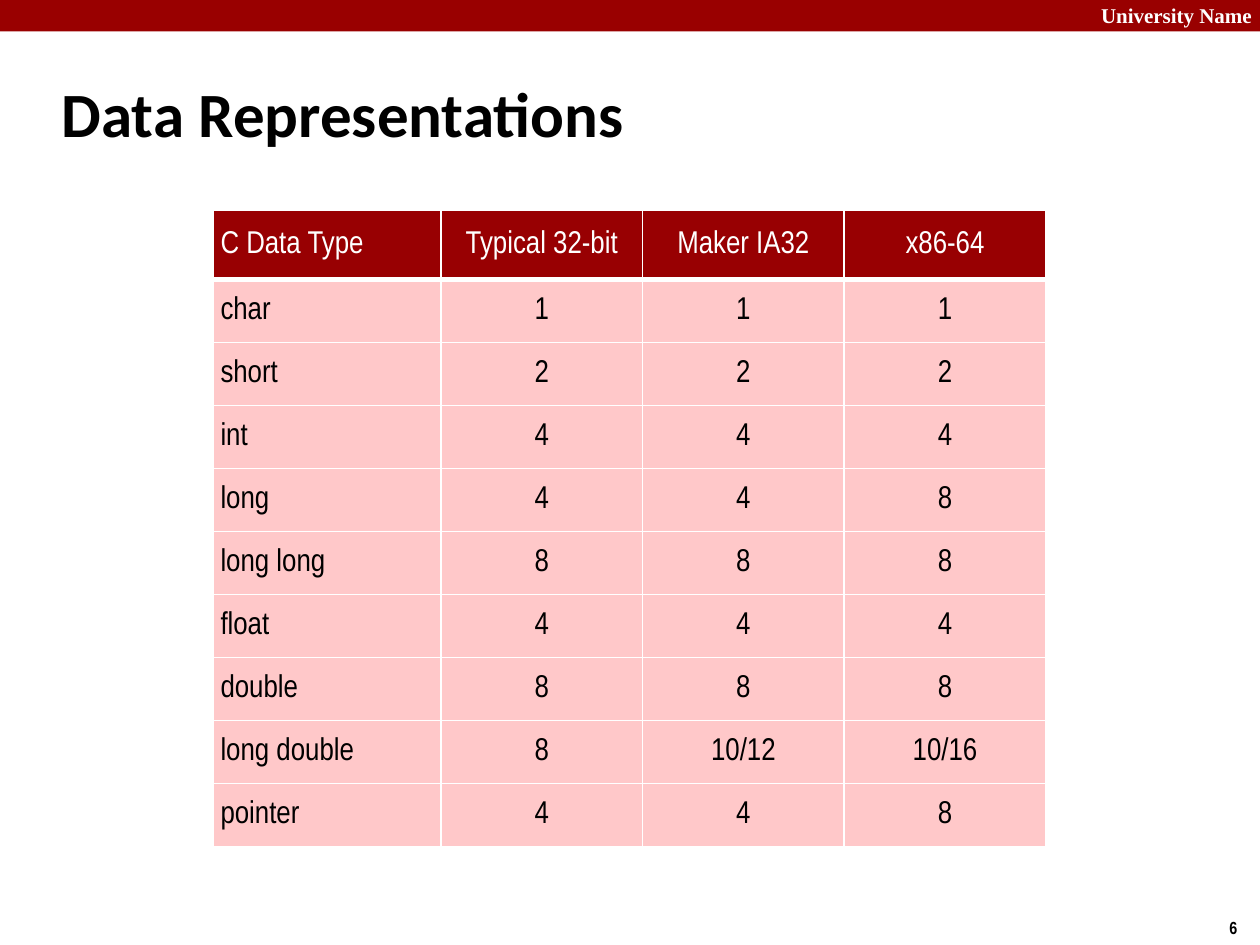
from pptx import Presentation
from pptx.util import Inches, Pt
from pptx.dml.color import RGBColor
from pptx.enum.shapes import MSO_SHAPE
from pptx.enum.text import MSO_ANCHOR, PP_ALIGN
from pptx.oxml import parse_xml
from pptx.oxml.ns import nsdecls

TITLE = "Data Representations"
HEAD = ("C Data Type", "Typical 32-bit", "Maker IA32", "x86-64")
SIZES = [
    ("char", "1", "1", "1"),
    ("short", "2", "2", "2"),
    ("int", "4", "4", "4"),
    ("long", "4", "4", "8"),
    ("long long", "8", "8", "8"),
    ("float", "4", "4", "4"),
    ("double", "8", "8", "8"),
    ("long double", "8", "10/12", "10/16"),
    ("pointer", "4", "4", "8"),
]
LABELS = [
    ("University Name", (8.64, -0.03, 1.43, 0.3), 12, "Times New Roman", "FFFFFF"),
    ("6", (9.66, 7.23, 0.34, 0.27), 10, "Arial Narrow", "000000"),
]
WIDTHS = [1.81] + [1.6] * 3
HEIGHTS = [0.55] + [0.5] * len(SIZES)


def color(code):
    return RGBColor.from_string(code)


def style(frame, size, face, code, bold, align=PP_ALIGN.LEFT):
    for para in frame.paragraphs:
        para.alignment = align
        for run in para.runs:
            font = run.font
            font.size, font.name, font.bold = Pt(size), face, bold
            font.color.rgb = color(code)


def paint(item, code):
    item.fill.solid()
    item.fill.fore_color.rgb = color(code)


def edge(cell, side, width):
    props = cell._tc.get_or_add_tcPr()
    line = parse_xml(
        f'<a:{side} {nsdecls("a")} w="{Pt(width)}"><a:solidFill>'
        f'<a:srgbClr val="FFFFFF"/></a:solidFill></a:{side}>')
    props.append(line)


deck = Presentation()
deck.slide_width, deck.slide_height = Inches(10), Inches(7.5)
slide = deck.slides.add_slide(deck.slide_layouts[5])
shapes = slide.shapes

band = shapes.add_shape(MSO_SHAPE.RECTANGLE, 0, 0, Inches(10), Inches(0.25))
band.shadow.inherit = False
paint(band, "990000")
band.line.fill.background()

for text, place, size, face, code in LABELS:
    box = shapes.add_textbox(*map(Inches, place))
    box.text_frame.text = text
    box.text_frame.word_wrap = False
    style(box.text_frame, size, face, code, True)

title = shapes.title
title.left, title.top, title.width, title.height = map(Inches, (0.39, 0.48, 8.3, 0.83))
title.text_frame.text = TITLE
title.text_frame.vertical_anchor = MSO_ANCHOR.MIDDLE
style(title.text_frame, 36, "Calibri", "000000", True)

rows = [HEAD] + SIZES
grid = shapes.add_table(len(rows), len(HEAD), Inches(1.69), Inches(1.67),
                        Inches(sum(WIDTHS)), Inches(sum(HEIGHTS))).table
for col, width in zip(grid.columns, WIDTHS):
    col.width = Inches(width)
for row, height in zip(grid.rows, HEIGHTS):
    row.height = Inches(height)

for r, row in enumerate(rows):
    for c, text in enumerate(row):
        cell = grid.cell(r, c)
        cell.text_frame.text = text
        cell.vertical_anchor = MSO_ANCHOR.MIDDLE
        cell.margin_left = cell.margin_right = Inches(0.06)
        cell.margin_top = cell.margin_bottom = Inches(0.06)
        style(cell.text_frame, 18, "Arial Narrow", "000000" if r else "FFFFFF",
              False, PP_ALIGN.CENTER if c else PP_ALIGN.LEFT)
        for side in ("lnL", "lnR", "lnT", "lnB"):
            thick = (r, side) in ((0, "lnB"), (1, "lnT"))
            edge(cell, side, 3 if thick else 1)
        paint(cell, "FFC8C9" if r else "980002")

deck.save("out.pptx")
